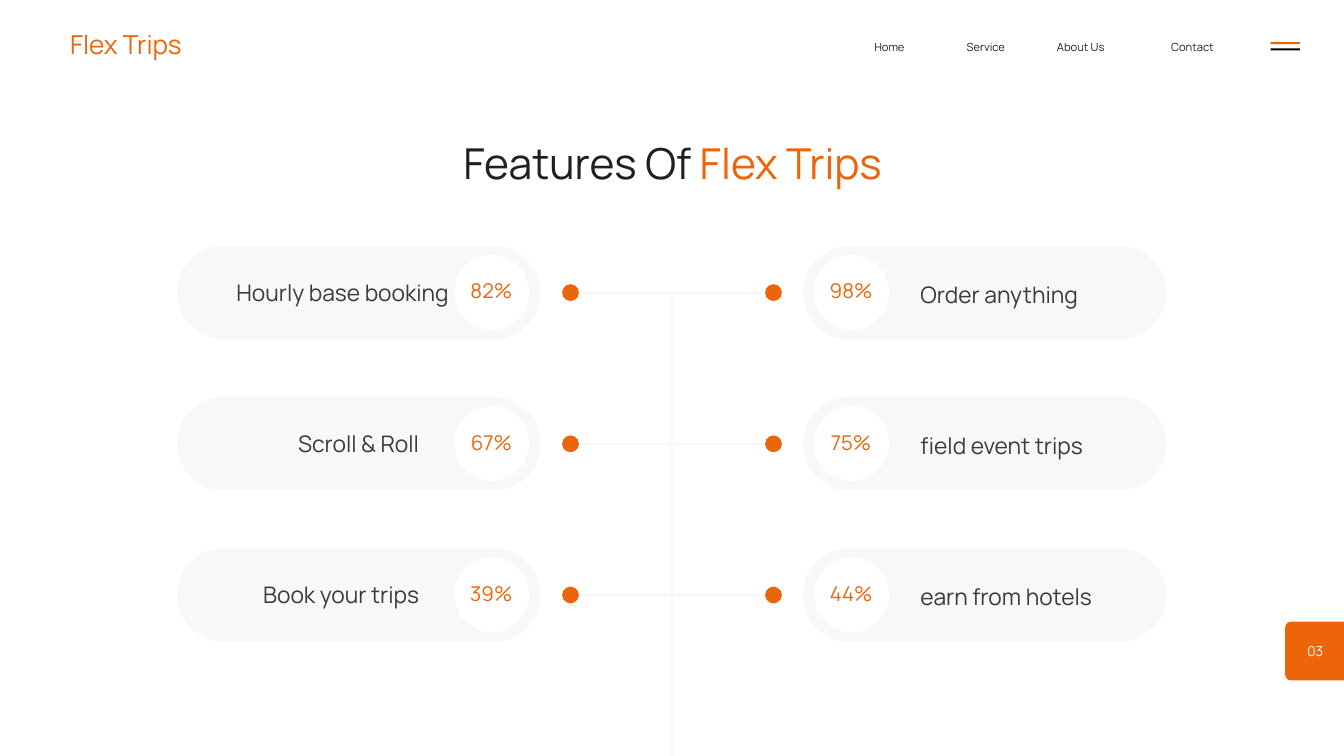
from lxml import etree
from pptx import Presentation, util as u
from pptx.dml.color import RGBColor
from pptx.enum import shapes, text
from pptx.oxml.ns import qn

PX = 9525  # EMU per px, 1920 x 1080 px slide
ORANGE = RGBColor(0xEC, 0x65, 0x0B)
INK = RGBColor(0x1F, 0x20, 0x20)
GRAY = RGBColor(0x3B, 0x3B, 0x3B)
PALE = RGBColor(0xF8, 0xF8, 0xF8)
WHITE = RGBColor(0xFF, 0xFF, 0xFF)
BLACK = RGBColor(0, 0, 0)
LEFT, CENTER, RIGHT = text.PP_ALIGN.LEFT, text.PP_ALIGN.CENTER, text.PP_ALIGN.RIGHT
RECT, ROUND, OVAL = (shapes.MSO_SHAPE.RECTANGLE, shapes.MSO_SHAPE.ROUNDED_RECTANGLE,
                     shapes.MSO_SHAPE.OVAL)

deck = Presentation()
deck.slide_width, deck.slide_height = 1920 * PX, 1080 * PX
slide = deck.slides.add_slide(deck.slide_layouts[6])


def add_block(kind, x, y, w, h, color, radius=None):
    block = slide.shapes.add_shape(kind, x * PX, y * PX, w * PX, h * PX)
    block.shadow.inherit = False
    block.fill.solid()
    block.fill.fore_color.rgb = color
    block.line.fill.background()
    if radius is not None:
        block.adjustments[0] = radius


def add_words(x, y, w, h, runs, size, leading, align=LEFT):
    frame = slide.shapes.add_textbox(x * PX, y * PX, w * PX, h * PX).text_frame
    frame.word_wrap = True
    frame.margin_left = frame.margin_right = frame.margin_top = frame.margin_bottom = 0
    line = frame.paragraphs[0]
    line.alignment = align
    line.line_spacing = u.Pt(leading)
    for words, color in runs:
        run = line.add_run()
        run.text = words
        run.font.name = "Manrope"
        run.font.size = u.Pt(size)
        run.font.color.rgb = color


# Header: logo text, navigation, menu icon
add_words(100, 48, 215, 37, [("Flex Trips", ORANGE)], 28, 28)
for x, w, item in [(1249, 85, "Home"), (1381, 77, "Service"),
                   (1510, 111, "About Us"), (1673, 103, "Contact")]:
    add_words(x, 54, w, 22, [(item, INK)], 12, 16.8)
for y, color in [(60, ORANGE), (69, BLACK)]:
    add_block(RECT, 1815, y, 42, 3, color)

# Page number tab
add_block(ROUND, 1836, 888, 100, 84, ORANGE, 0.1)
add_words(1856, 915, 46, 27, [("03", WHITE)], 14.7, 20.6, CENTER)

# Title
add_words(562, 184, 798, 85, [("Features Of ", INK), ("Flex Trips", ORANGE)],
          45.6, 63.9, CENTER)

# Feature pills, one column on each side of the trunk
TOP, STEP, PILL_H = 351, 216, 134
columns = [
    (253, 649, 40, RIGHT, [(279, "Hourly base booking", "82%"),
                           (243, "Scroll & Roll ", "67%"),
                           (243, "Book your trips ", "39%")]),
    (1147, 1163, 43, LEFT, [(1315, "Order anything", "98%"),
                            (1315, "field event trips", "75%"),
                            (1315, "earn from hotels", "44%")]),
]
for pill_x, badge_x, label_drop, align, features in columns:
    for row, (label_x, label, share) in enumerate(features):
        y = TOP + row * STEP
        add_block(ROUND, pill_x, y, 519, PILL_H, PALE, 0.5)
        add_block(OVAL, badge_x, y + 13, 107, 107, WHITE)
        add_words(label_x, y + label_drop, 362, 46, [(label, GRAY)], 24.4, 34.2, align)
        add_words(badge_x + 14, y + 41, 78, 42, [(share, ORANGE)], 21.8, 30.6, CENTER)

# Branches and trunk
DOT_XS = (815, 1105)
centers = [TOP + row * STEP + PILL_H // 2 for row in range(3)]
branches = [(DOT_XS[0], y, DOT_XS[1], y) for y in centers]
for ends in branches + [(960, 420, 960, 1109)]:
    branch = slide.shapes.add_connector(shapes.MSO_CONNECTOR.STRAIGHT,
                                        *[end * PX for end in ends])
    branch.line.color.rgb = PALE
    branch.line.width = u.Pt(2.25)
    etree.SubElement(branch._element.spPr, qn("a:effectLst"))

# Dots at the branch ends
for y in centers:
    for x in DOT_XS:
        add_block(OVAL, x - 12, y - 12, 24, 24, ORANGE)

deck.save("out.pptx")
